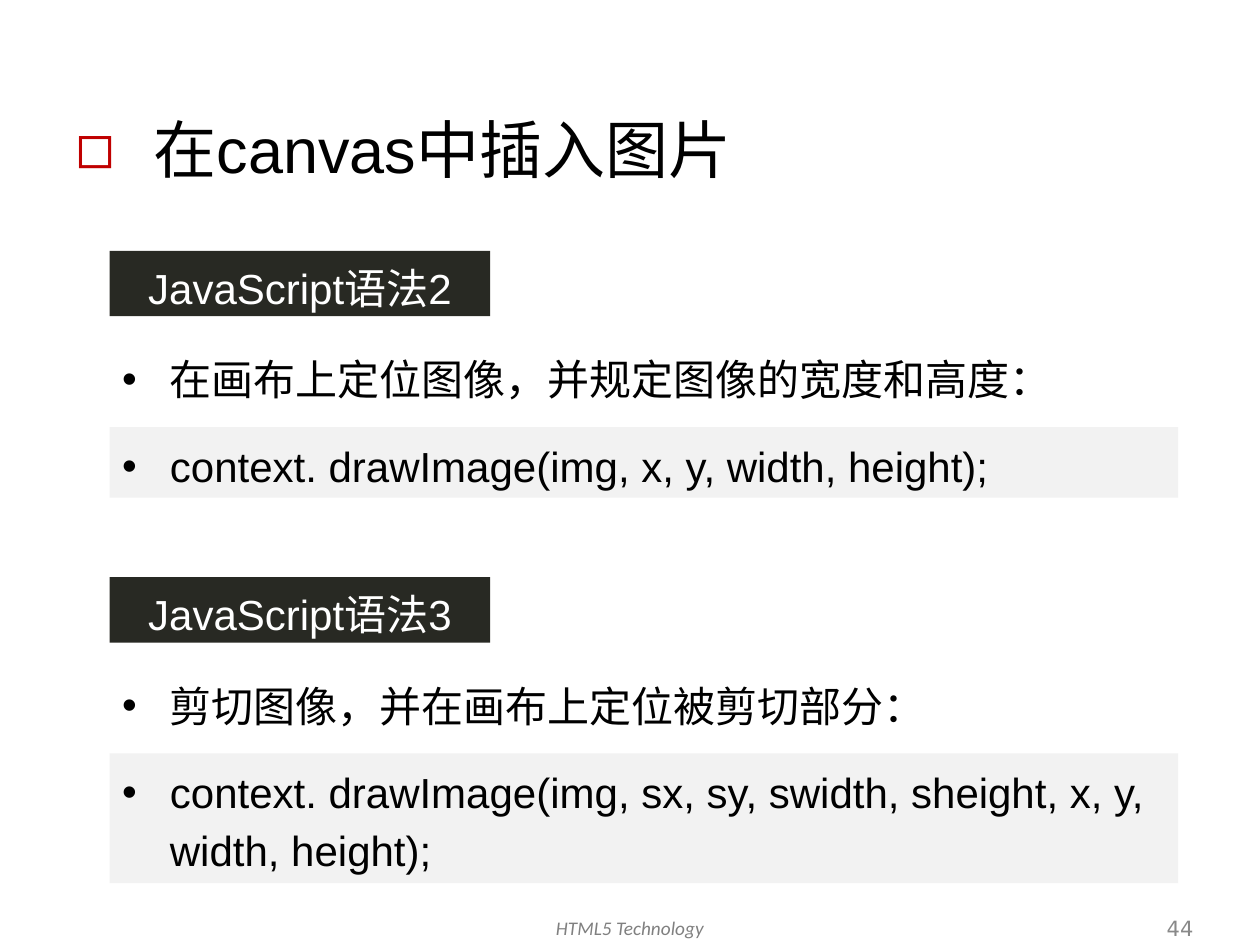
from lxml.etree import SubElement
from pptx import Presentation
from pptx.dml.color import RGBColor
from pptx.enum.shapes import MSO_SHAPE as Shape
from pptx.enum.text import MSO_ANCHOR as Anchor, MSO_AUTO_SIZE as AutoSize, PP_ALIGN as Align
from pptx.oxml.ns import qn
from pptx.util import Inches, Pt

BLACK = RGBColor(0x00, 0x00, 0x00)
WHITE = RGBColor(0xFF, 0xFF, 0xFF)
RED = RGBColor(0xC0, 0x00, 0x00)
DARK = RGBColor(0x28, 0x29, 0x23)
PALE = RGBColor(0xF2, 0xF2, 0xF2)
FOOTER_GREY = RGBColor(0x80, 0x80, 0x80)
NUMBER_GREY = RGBColor(0x89, 0x89, 0x89)

LEFT = 0.87
SECTIONS = [
    (1.99, "JavaScript语法2", "在画布上定位图像，并规定图像的宽度和高度：",
     "context. drawImage(img, x, y, width, height);", 0.56),
    (4.58, "JavaScript语法3", "剪切图像，并在画布上定位被剪切部分：",
     "context. drawImage(img, sx, sy, swidth, sheight, x, y, width, height);", 1.03),
]


def add_bullet(paragraph, character, indent, color=None):
    """Give the paragraph a bullet with a hanging indent in inches."""
    properties = paragraph._p.get_or_add_pPr()
    properties.set("marL", str(Inches(indent)))
    properties.set("indent", str(-Inches(indent)))
    if color is not None:
        bullet_color = SubElement(properties, qn("a:buClr"))
        SubElement(bullet_color, qn("a:srgbClr"), val=str(color))
    SubElement(properties, qn("a:buFont"), typeface="Arial")
    SubElement(properties, qn("a:buChar"), char=character)


def write(shape, text, size, color, font_name="Arial", align=Align.LEFT,
          anchor=Anchor.TOP, italic=False, bullet=None):
    """Fill the shape with one formatted paragraph, which is returned."""
    frame = shape.text_frame
    frame.text = text
    frame.word_wrap = True
    frame.auto_size = AutoSize.NONE
    frame.vertical_anchor = anchor
    paragraph = frame.paragraphs[0]
    if bullet:
        add_bullet(paragraph, *bullet)
    paragraph.alignment = align
    font = paragraph.runs[0].font
    font.name, font.size, font.italic = font_name, Pt(size), italic
    font.color.rgb = color
    return paragraph


def add_title(slide, text):
    title = slide.shapes.title
    title.left, title.top = Inches(0.5), Inches(0.83)
    title.width, title.height = Inches(9.35), Inches(0.98)
    write(title, text, 36, BLACK, bullet=("◻", 0.62, RED))


def add_text(slide, box, *content, **style):
    text_box = slide.shapes.add_textbox(*map(Inches, box))
    return write(text_box, *content, **style)


def add_panel(slide, box, fill, *content, **style):
    panel = slide.shapes.add_shape(Shape.RECTANGLE, *map(Inches, box))
    panel.shadow.inherit = False
    panel.fill.solid()
    panel.fill.fore_color.rgb = fill
    panel.line.fill.background()
    return write(panel, *content, **style)


def add_section(slide, top, heading, description, code, code_height):
    bullet = ("•", 0.38)
    paragraphs = [
        add_panel(slide, (LEFT, top, 3.02, 0.52), DARK, heading, 24, WHITE,
                  align=Align.CENTER, anchor=Anchor.MIDDLE),
        add_text(slide, (LEFT, top + 0.71, 8.98, 0.56), description, 24, BLACK,
                 bullet=bullet),
        add_panel(slide, (LEFT, top + 1.4, 8.48, code_height), PALE, code, 24, BLACK,
                  bullet=bullet),
    ]
    for paragraph in paragraphs:
        paragraph.line_spacing = Pt(33)


def main():
    presentation = Presentation()
    presentation.slide_width, presentation.slide_height = Inches(10), Inches(7.5)
    slide = presentation.slides.add_slide(presentation.slide_layouts[5])
    add_title(slide, "在canvas中插入图片")
    add_text(slide, (3.22, 7.22, 3.56, 0.33), "HTML5 Technology", 11, FOOTER_GREY,
             "Calibri", align=Align.CENTER, italic=True)
    add_text(slide, (7.32, 7.22, 2.25, 0.29), "44", 12, NUMBER_GREY,
             "DejaVu Sans", align=Align.RIGHT, anchor=Anchor.MIDDLE)
    for section in SECTIONS:
        add_section(slide, *section)
    presentation.save("out.pptx")


if __name__ == "__main__":
    main()
